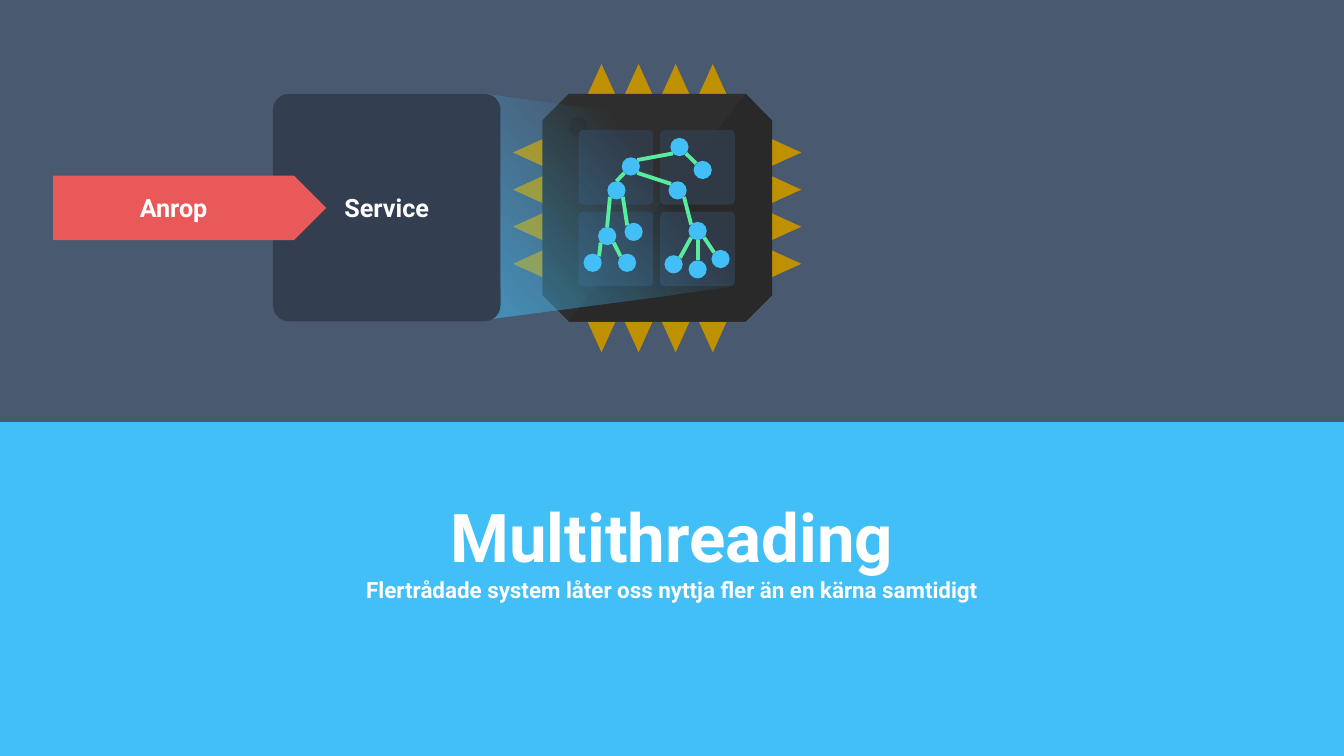
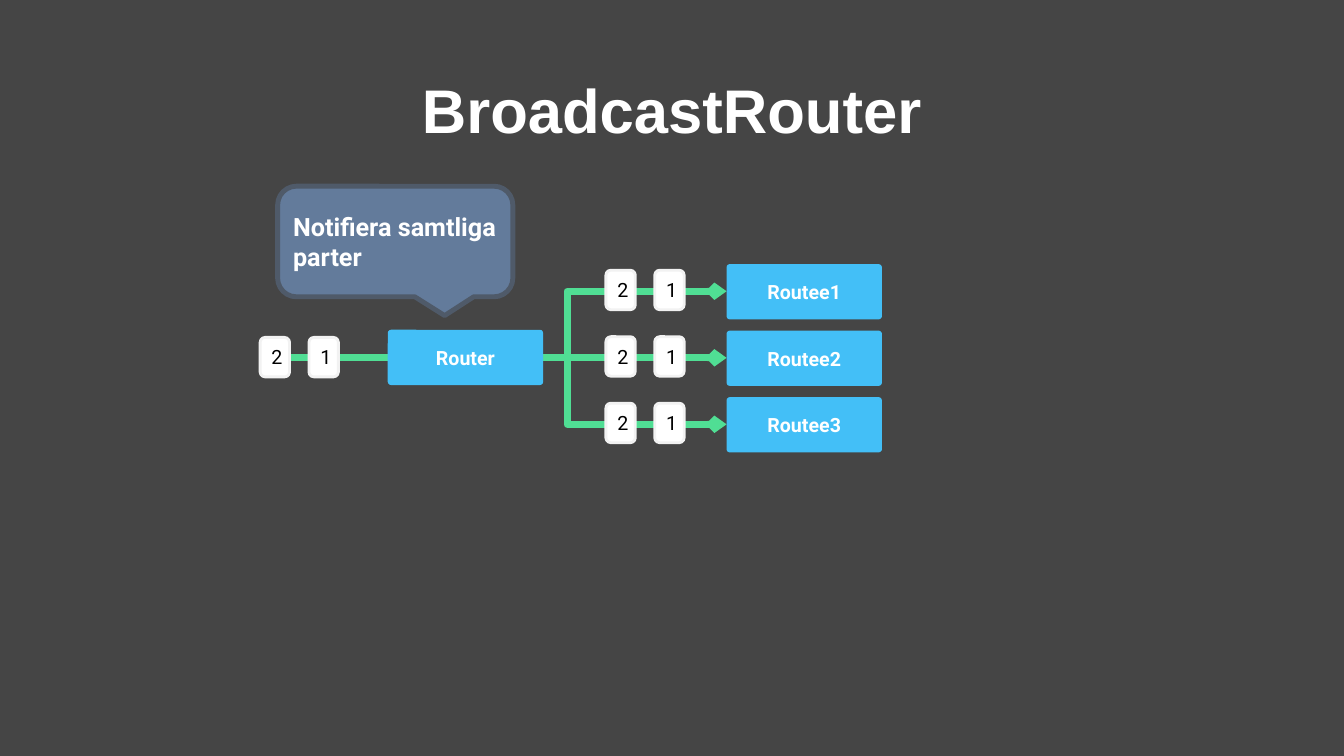
from itertools import product

from lxml import etree
from pptx import Presentation
from pptx.dml.color import RGBColor
from pptx.enum.shapes import MSO_CONNECTOR, MSO_SHAPE
from pptx.enum.text import MSO_ANCHOR, PP_ALIGN
from pptx.oxml.ns import qn
from pptx.util import Pt

RECTANGLE = MSO_SHAPE.RECTANGLE
ROUNDED = MSO_SHAPE.ROUNDED_RECTANGLE
OVAL = MSO_SHAPE.OVAL
OCTAGON = MSO_SHAPE.OCTAGON
RIGHT_ARROW = MSO_SHAPE.RIGHT_ARROW
CALLOUT = MSO_SHAPE.ROUNDED_RECTANGULAR_CALLOUT
STRAIGHT, ELBOW = MSO_CONNECTOR.STRAIGHT, MSO_CONNECTOR.ELBOW
MIDDLE = MSO_ANCHOR.MIDDLE
LEFT, CENTER = PP_ALIGN.LEFT, PP_ALIGN.CENTER

WIDTH, HEIGHT = 960, 540
SLATE, GRAPHITE = "485970", "454545"
BLUE, NAVY, RED, GOLD = "43BFF7", "333F50", "E95959", "BF9000"
CHIP, CHIP_SHADE = "2E2E2E", "292929"
MINT, GREEN = "58EC9F", "50DE94"
WHITE, PALE, BLACK = "FFFFFF", "F2F2F2", "000000"
BUBBLE, BUBBLE_EDGE = "637B9B", "4F5A69"


def color(value):
    return RGBColor.from_string(value)


class Sketch:
    """Holds the style and the slide being drawn."""

    font = "Roboto"

    def __init__(self):
        self.deck = Presentation()
        self.deck.slide_width, self.deck.slide_height = Pt(WIDTH), Pt(HEIGHT)

    def add_page(self, background):
        self.page = self.deck.slides.add_slide(self.deck.slide_layouts[6])
        fill = self.page.background.fill
        fill.solid()
        fill.fore_color.rgb = color(background)
        self.end_group()

    def start_group(self):
        self.shapes = self.page.shapes.add_group_shape().shapes

    def end_group(self):
        self.shapes = self.page.shapes

    def paint(self, shape, fill, edge=None, weight=1, alpha=None):
        shape.shadow.inherit = False
        shape.fill.solid()
        shape.fill.fore_color.rgb = color(fill)
        if alpha is not None:
            tint = shape.fill._xPr.find(".//" + qn("a:srgbClr"))
            etree.SubElement(tint, qn("a:alpha"), val=str(alpha * 1000))
        if edge:
            shape.line.color.rgb = color(edge)
            shape.line.width = Pt(weight)
        else:
            shape.line.fill.background()

    def shape(self, kind, left, top, width, height, fill, adjust=(), **paint):
        shape = self.shapes.add_shape(kind, Pt(left), Pt(top), Pt(width), Pt(height))
        for index, value in enumerate(adjust):
            shape.adjustments[index] = value
        self.paint(shape, fill, **paint)
        return shape

    def outline(self, contours, fill):
        (first, *rest), *others = [[(Pt(x), Pt(y)) for x, y in c] for c in contours]
        builder = self.shapes.build_freeform(*first)
        builder.add_line_segments(rest)
        for start, *points in others:
            builder.move_to(*start)
            builder.add_line_segments(points)
        shape = builder.convert_to_shape()
        self.paint(shape, fill)
        return shape

    def fade(self, shape, tint, angle, stops):
        """Fill a shape with one colour whose opacity changes along an angle."""
        old = shape._element.spPr.find(qn("a:solidFill"))
        gradient = etree.Element(qn("a:gradFill"), rotWithShape="1")
        stop_list = etree.SubElement(gradient, qn("a:gsLst"))
        for position, alpha in stops:
            stop = etree.SubElement(stop_list, qn("a:gs"), pos=str(position * 1000))
            value = etree.SubElement(stop, qn("a:srgbClr"), val=tint)
            etree.SubElement(value, qn("a:alpha"), val=str(alpha * 1000))
        etree.SubElement(gradient, qn("a:lin"), ang=str(angle * 60000), scaled="0")
        old.getparent().replace(old, gradient)

    def line(self, start, end, tint, weight, kind=STRAIGHT, bend=None, arrow=False):
        line = self.shapes.add_connector(kind, *map(Pt, (*start, *end)))
        line.line.color.rgb = color(tint)
        line.line.width = Pt(weight)
        properties = line._element.spPr
        if arrow:
            etree.SubElement(line.line._get_or_add_ln(), qn("a:tailEnd"),
                             type="arrow", w="sm", len="sm")
        etree.SubElement(properties, qn("a:effectLst"))
        if bend is not None:
            guides = properties.find(qn("a:prstGeom")).get_or_add_avLst()
            etree.SubElement(guides, qn("a:gd"), name="adj1",
                             fmla=f"val {round(bend * 100000)}")

    def text(self, box, *lines, tint=WHITE, bold=True, align=CENTER, font=None):
        """Write (text, size) lines, one paragraph each."""
        frame = box.text_frame
        frame.word_wrap = True
        frame.vertical_anchor = MIDDLE
        for index, (content, size) in enumerate(lines):
            para = frame.paragraphs[0] if index == 0 else frame.add_paragraph()
            para.alignment = align
            span = para.add_run()
            span.text = content
            span.font.name = font or self.font
            span.font.size = Pt(size)
            span.font.bold = bold
            span.font.color.rgb = color(tint)
        return frame

    def title(self, content):
        box = self.shapes.add_textbox(Pt(66), Pt(28.8), Pt(828), Pt(104.4))
        frame = self.text(box, (content, 44), font="Arial")
        frame.paragraphs[0].line_spacing = 0.9

    def node_box(self, label, left, middle):
        box = self.shape(ROUNDED, left, middle - 19.75, 111, 39.5, BLUE, [0.06])
        self.text(box, (label, 14))

    def cards(self, left, middle):
        """Two queued messages, the first one furthest to the right."""
        for index, label in enumerate("21"):
            card = self.shape(ROUNDED, left + index * 34.9, middle - 14.1, 21, 28.2,
                              WHITE, edge=PALE, weight=2)
            self.text(card, (label, 14), tint=BLACK, bold=False)


def draw_chip(sketch):
    center_x, center_y = 469.4, 148.7
    base, tip, half, step = 81.2, 103, 9.9, 26.5

    # Pins on all four sides
    pins = []
    for side, index in product((-1, 1), range(4)):
        offset = (index - 1.5) * step
        pin = [(offset - half, side * base), (offset, side * tip),
               (offset + half, side * base)]
        pins.append([(center_x + x, center_y + y) for x, y in pin])
        pins.append([(center_x + y, center_y + x) for x, y in pin])
    sketch.start_group()
    sketch.outline(pins, GOLD)

    # Body, shaded half and orientation mark
    sketch.shape(OCTAGON, 387.4, 67, 164, 162.7, CHIP, [0.117])
    sketch.outline([[(406.1, 229.7), (532.8, 67), (551.5, 86.4),
                     (551.5, 211), (532.8, 229.7)]], CHIP_SHADE)
    sketch.shape(OVAL, 406.1, 83.5, 13.7, 13.7, CHIP_SHADE)

    # Cores
    for row, column in product(range(2), repeat=2):
        sketch.shape(ROUNDED, 413.3 + column * 58.3, 92.9 + row * 58.3, 53.3, 53.3,
                     NAVY, [0.06], alpha=75)
    sketch.end_group()


def draw_tree(sketch):
    radius, diagonal = 6.5, 4.6
    sites = {"N": (0, -radius), "S": (0, radius),
             "NW": (-diagonal, -diagonal), "NE": (diagonal, -diagonal),
             "SW": (-diagonal, diagonal), "SE": (diagonal, diagonal)}
    nodes = {"root": (485.3, 105), "left": (450.6, 118.9), "right": (501.9, 121.4),
             "a": (440.3, 136), "b": (484, 136), "c": (433.7, 168.6),
             "d": (452.6, 165.6), "e": (423.3, 187.7), "f": (447.9, 187.7),
             "g": (498.3, 165), "h": (481.1, 188.8), "i": (498.3, 192.4),
             "j": (514.7, 185)}
    edges = [("root", "SW", "left", "NE"), ("root", "SE", "right", "NW"),
             ("left", "SW", "a", "N"), ("left", "SE", "b", "NW"),
             ("a", "SW", "c", "N"), ("a", "SE", "d", "NW"),
             ("c", "SW", "e", "NE"), ("c", "SE", "f", "NW"),
             ("b", "SE", "g", "NW"), ("g", "SW", "h", "NE"),
             ("g", "S", "i", "N"), ("g", "SE", "j", "NW")]

    def anchor(node, site):
        return [a + b for a, b in zip(nodes[node], sites[site])]

    sketch.start_group()
    for parent, leave, child, enter in edges:
        sketch.line(anchor(parent, leave), anchor(child, enter), MINT, 2.75)
    for x, y in nodes.values():
        sketch.shape(OVAL, x - radius, y - radius, 2 * radius, 2 * radius, BLUE)
    sketch.end_group()


def multithreading_page(sketch):
    sketch.add_page(SLATE)
    draw_chip(sketch)

    # Light beam from the service to the cores
    beam = sketch.outline([[(346.3, 67), (520.5, 91.4), (523.4, 93.6), (524.9, 98.6),
                            (524.9, 198), (523.4, 203), (520.5, 205.2),
                            (347.8, 228.2)]], BLUE)
    sketch.fade(beam, BLUE, 320, [(0, 56), (68, 0)])

    # Service and incoming call
    service = sketch.shape(ROUNDED, 195, 67, 162.5, 162.5, NAVY, [0.07])
    sketch.text(service, ("Service", 18))
    call = sketch.shape(RIGHT_ARROW, 38, 125.5, 195, 46, RED, [1, 0.5])
    sketch.text(call, ("Anrop", 18))

    draw_tree(sketch)

    # Heading band
    band = sketch.shape(RECTANGLE, 0, 301.5, WIDTH, HEIGHT - 301.5, BLUE)
    frame = sketch.text(
        band, ("Multithreading", 48),
        ("Flertrådade system låter oss nyttja fler än en kärna samtidigt", 16))
    frame.margin_bottom = Pt(60)


def broadcast_page(sketch):
    sketch.add_page(GRAPHITE)
    sketch.title("BroadcastRouter")
    middle, row_step = 255.6, 47.5
    router_left, router_right, routee_left = 277, 388, 519
    rows = [middle + offset * row_step for offset in (-1, 0, 1)]

    # Routes
    for row in rows:
        kind, bend = (STRAIGHT, None) if row == middle else (ELBOW, 0.13)
        sketch.line((router_right, middle), (routee_left, row), GREEN, 5,
                    kind, bend, arrow=True)
    sketch.line((198, middle), (router_left, middle), GREEN, 5)

    # Messages
    sketch.cards(185.8, middle - 0.5)
    for row in rows:
        sketch.cards(432.8, row - 1)

    # Router and its receivers
    sketch.node_box("Router", router_left, middle - 0.3)
    for number, row in enumerate(rows, 1):
        sketch.node_box(f"Routee{number}", routee_left, row + 0.3)

    # Speech bubble
    bubble = sketch.shape(CALLOUT, 198.3, 133, 168, 79, BUBBLE, [0.21, 0.67, 0.17],
                          edge=BUBBLE_EDGE, weight=3.5)
    sketch.text(bubble, ("Notifiera samtliga parter", 18), align=LEFT)


def main():
    sketch = Sketch()
    multithreading_page(sketch)
    broadcast_page(sketch)
    sketch.deck.save("out.pptx")


if __name__ == "__main__":
    main()
